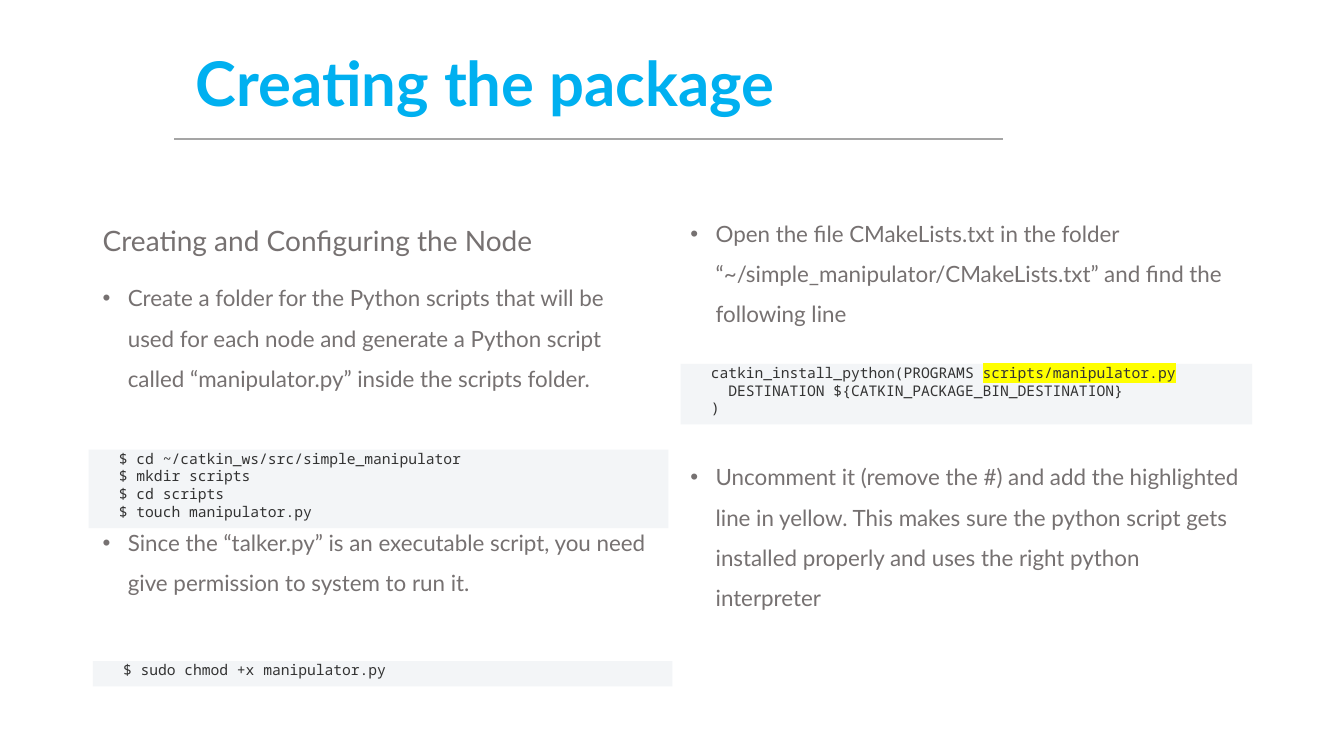
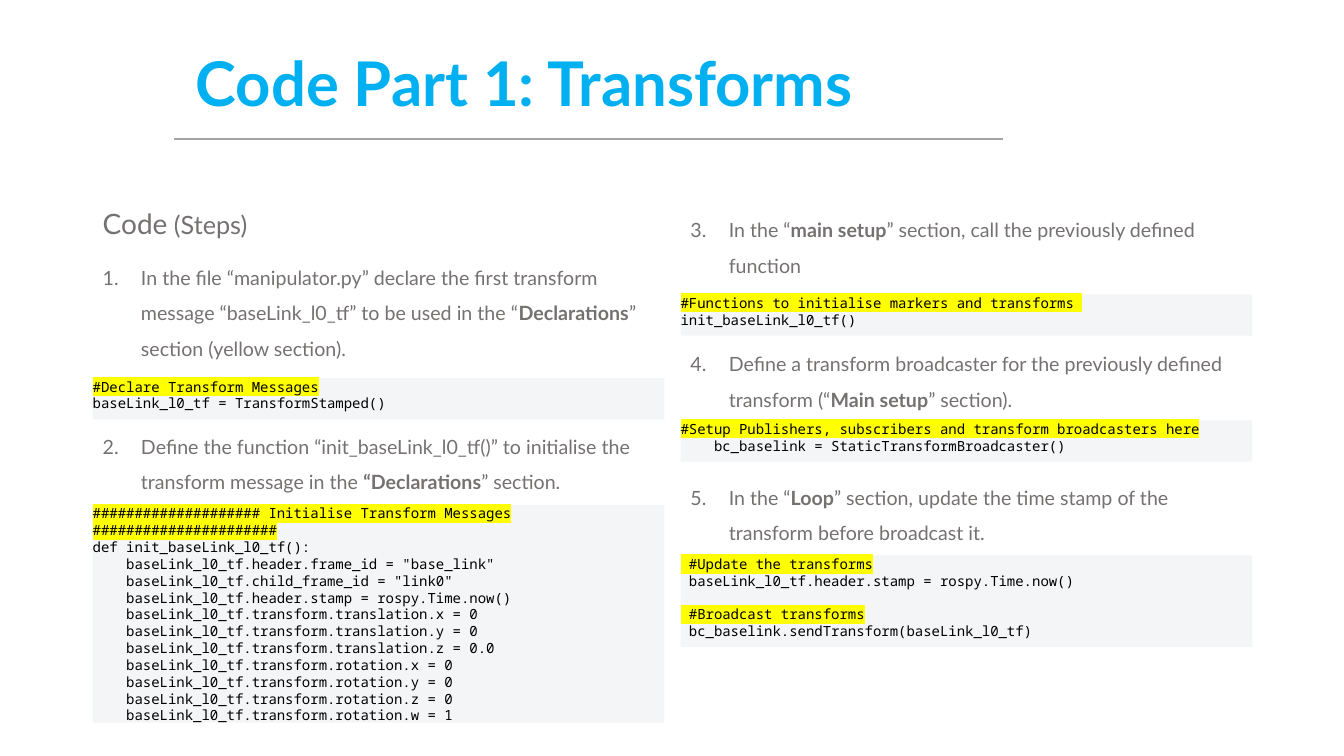
import lxml.etree
import pptx
import pptx.dml.color
import pptx.enum.shapes
import pptx.enum.text
import pptx.oxml.ns
import pptx.util

Inches, Pt = pptx.util.Inches, pptx.util.Pt
qn = pptx.oxml.ns.qn

COLORS = {"title": "00B0F0", "body": "767171", "rule": "A5A5A5", "panel": "F3F5F7",
          "shell": "333333", "code": "000000", "highlight": "FFFF00"}
BODY_FONT, CODE_FONT = "Lato", "Noto Sans Mono"
LEFT, RIGHT, COLUMN_WIDTH = 0.92, 6.75, 5.67
COLUMN_TOP, COLUMN_HEIGHT = 2, 4.76
PARAGRAPH_GAP = 10

# Text between ** marks is bold in a column and highlighted in code.
# A column's "gap" is the space, in points, that leaves room for code between items.
# A code line may be a (text, space before in points) pair.
SLIDES = [
    {
        "title": "Creating the package",
        "item_size": 16, "indent": 0.25, "numbered": False,
        "code_size": 10.5, "code_indent": 0.3, "code_color": "shell",
        "columns": [
            {"left": LEFT, "gap": 88.6, "heading_spacing": 1.5,
             "heading": [("Creating and Configuring the Node", 20)],
             "items": [
                 "Create a folder for the Python scripts that will be used for each node and "
                 "generate a Python script called “manipulator.py” inside the scripts folder.",
                 "Since the “talker.py” is an executable script, you need give permission to "
                 "system to run it."]},
            {"left": RIGHT, "gap": 87.6,
             "items": [
                 "Open the file CMakeLists.txt in the folder "
                 "“~/simple_manipulator/CMakeLists.txt” and find the following line",
                 "Uncomment it (remove the #) and add the highlighted line in yellow. This "
                 "makes sure the python script gets installed properly and uses the right "
                 "python interpreter"]},
        ],
        "code": [
            ((0.88, 4.46, 5.75, 0.78), [
                "$ cd ~/catkin_ws/src/simple_manipulator",
                "$ mkdir scripts",
                "$ cd scripts",
                "$ touch manipulator.py"]),
            ((LEFT, 6.56, 5.75, 0.25), ["$ sudo chmod +x manipulator.py"]),
            ((RIGHT, 3.61, COLUMN_WIDTH, 0.6), [
                "catkin_install_python(PROGRAMS **scripts/manipulator.py**",
                "  DESTINATION ${CATKIN_PACKAGE_BIN_DESTINATION}",
                ")"]),
        ],
    },
    {
        "title": "Code Part 1: Transforms",
        "item_size": 14, "indent": 0.38, "numbered": True,
        "code_size": 10, "code_indent": 0, "code_color": "code",
        "columns": [
            {"left": LEFT, "gap": 45.2, "heading_spacing": 1.0, "start": 1,
             "heading": [("Code", 20), (" (Steps)", 18)],
             "items": [
                 "In the file “manipulator.py” declare the first transform message "
                 "“baseLink_l0_tf” to be used in the “**Declarations**” section "
                 "(yellow section).",
                 "Define the function “init_baseLink_l0_tf()” to initialise the transform "
                 "message in the **“Declarations**” section."]},
            {"left": RIGHT, "gap": 45.2, "start": 3,
             "items": [
                 "In the “**main setup**” section, call the previously defined function",
                 "Define a transform broadcaster for the previously defined transform "
                 "(“**Main setup**” section).",
                 "In the “**Loop**” section, update the time stamp of the transform before "
                 "broadcast it."]},
        ],
        "code": [
            ((LEFT, 3.75, COLUMN_WIDTH, 0.41), [
                "**#Declare Transform Messages**",
                "baseLink_l0_tf = TransformStamped()"]),
            ((LEFT, 5.01, COLUMN_WIDTH, 2.16), [
                "**#################### Initialise Transform Messages "
                "######################**",
                "def init_baseLink_l0_tf():",
                "    baseLink_l0_tf.header.frame_id = \"base_link\"",
                "    baseLink_l0_tf.child_frame_id = \"link0\"",
                "    baseLink_l0_tf.header.stamp = rospy.Time.now()",
                "    baseLink_l0_tf.transform.translation.x = 0",
                "    baseLink_l0_tf.transform.translation.y = 0",
                "    baseLink_l0_tf.transform.translation.z = 0.0",
                "    baseLink_l0_tf.transform.rotation.x = 0",
                "    baseLink_l0_tf.transform.rotation.y = 0",
                "    baseLink_l0_tf.transform.rotation.z = 0",
                "    baseLink_l0_tf.transform.rotation.w = 1"]),
            ((RIGHT, 2.92, COLUMN_WIDTH, 0.41), [
                "**#Functions to initialise markers and transforms **",
                "init_baseLink_l0_tf()"]),
            ((RIGHT, 4.17, COLUMN_WIDTH, 0.41), [
                "**#Setup Publishers, subscribers and transform broadcasters here**",
                "    bc_baselink = StaticTransformBroadcaster()"]),
            ((RIGHT, 5.51, COLUMN_WIDTH, 0.91), [
                "** #Update the transforms**",
                " baseLink_l0_tf.header.stamp = rospy.Time.now()",
                ("** #Broadcast transforms**", 12),
                " bc_baselink.sendTransform(baseLink_l0_tf)"]),
        ],
    },
]


def rgb(name):
    return pptx.dml.color.RGBColor.from_string(COLORS[name])


def add_run(paragraph, text, size, color, font=BODY_FONT, bold=False, highlight=False):
    run = paragraph.add_run()
    run.text = text
    run.font.size = Pt(size)
    run.font.bold = bold
    run.font.color.rgb = rgb(color)
    if highlight:
        marker = lxml.etree.SubElement(run._r.get_or_add_rPr(), qn("a:highlight"))
        lxml.etree.SubElement(marker, qn("a:srgbClr"), val=COLORS["highlight"])
    run.font.name = font


def marked_pieces(text):
    """Yield (piece, is_marked) for text whose marked parts stand between ** signs."""
    for index, piece in enumerate(text.split("**")):
        if piece:
            yield piece, index % 2 == 1


def paragraphs(frame):
    """Yield the frame's first paragraph, then new ones without end."""
    yield frame.paragraphs[0]
    while True:
        yield frame.add_paragraph()


def set_indent(paragraph, left, first=0):
    properties = paragraph._p.get_or_add_pPr()
    properties.set("marL", str(Inches(left)))
    properties.set("indent", str(Inches(first)))
    return properties


def add_title(slide, text):
    title = slide.shapes.title
    title.left, title.top = Inches(1.84), Inches(0.13)
    title.width, title.height = Inches(8.92), Inches(1.45)
    frame = title.text_frame
    frame.auto_size = pptx.enum.text.MSO_AUTO_SIZE.NONE
    frame.vertical_anchor = pptx.enum.text.MSO_ANCHOR.MIDDLE
    paragraph = frame.paragraphs[0]
    paragraph.alignment = pptx.enum.text.PP_ALIGN.LEFT
    paragraph.line_spacing = 0.9
    add_run(paragraph, text, 44, "title", bold=True)

    rule = slide.shapes.add_connector(pptx.enum.shapes.MSO_CONNECTOR.STRAIGHT,
                                      Inches(1.73), Inches(1.38), Inches(9.95), Inches(1.38))
    rule.line.color.rgb = rgb("rule")
    rule.line.width = Pt(1.5)
    lxml.etree.SubElement(rule._element.spPr, qn("a:effectLst"))


def add_column(slide, column, content):
    box = slide.shapes.add_textbox(Inches(column["left"]), Inches(COLUMN_TOP),
                                   Inches(COLUMN_WIDTH), Inches(COLUMN_HEIGHT))
    box.text_frame.word_wrap = True
    lines = paragraphs(box.text_frame)
    if "heading" in column:
        heading = next(lines)
        heading.line_spacing = column["heading_spacing"]
        heading.space_before = Pt(PARAGRAPH_GAP)
        for text, size in column["heading"]:
            add_run(heading, text, size, "body")
    for index, item in enumerate(column["items"]):
        paragraph = next(lines)
        paragraph.line_spacing = 1.5
        paragraph.space_before = Pt(column["gap"] if index else PARAGRAPH_GAP)
        properties = set_indent(paragraph, content["indent"], -content["indent"])
        if content["numbered"]:
            lxml.etree.SubElement(properties, qn("a:buAutoNum"), type="arabicPeriod",
                                  startAt=str(column["start"]))
        else:
            lxml.etree.SubElement(properties, qn("a:buFont"), typeface="Arial")
            lxml.etree.SubElement(properties, qn("a:buChar"), char="•")
        for piece, marked in marked_pieces(item):
            add_run(paragraph, piece, content["item_size"], "body", bold=marked)


def add_code(slide, area, code_lines, content):
    panel = slide.shapes.add_shape(pptx.enum.shapes.MSO_SHAPE.RECTANGLE, *map(Inches, area))
    panel.shadow.inherit = False
    panel.fill.solid()
    panel.fill.fore_color.rgb = rgb("panel")
    panel.line.fill.background()
    frame = panel.text_frame
    frame.word_wrap = True
    frame.auto_size = pptx.enum.text.MSO_AUTO_SIZE.NONE
    frame.vertical_anchor = pptx.enum.text.MSO_ANCHOR.TOP
    frame.margin_left = frame.margin_top = frame.margin_right = frame.margin_bottom = 0
    for paragraph, line in zip(paragraphs(frame), code_lines):
        text, space = line if isinstance(line, tuple) else (line, 0)
        paragraph.alignment = pptx.enum.text.PP_ALIGN.LEFT
        if space:
            paragraph.space_before = Pt(space)
        set_indent(paragraph, content["code_indent"])
        for piece, marked in marked_pieces(text):
            add_run(paragraph, piece, content["code_size"], content["code_color"],
                    CODE_FONT, highlight=marked)


def main():
    deck = pptx.Presentation()
    deck.slide_width, deck.slide_height = Inches(13.33), Inches(7.5)
    title_only = deck.slide_layouts[5]
    for content in SLIDES:
        slide = deck.slides.add_slide(title_only)
        add_title(slide, content["title"])
        for column in content["columns"]:
            add_column(slide, column, content)
        for area, code_lines in content["code"]:
            add_code(slide, area, code_lines, content)
    deck.save("out.pptx")


if __name__ == "__main__":
    main()
